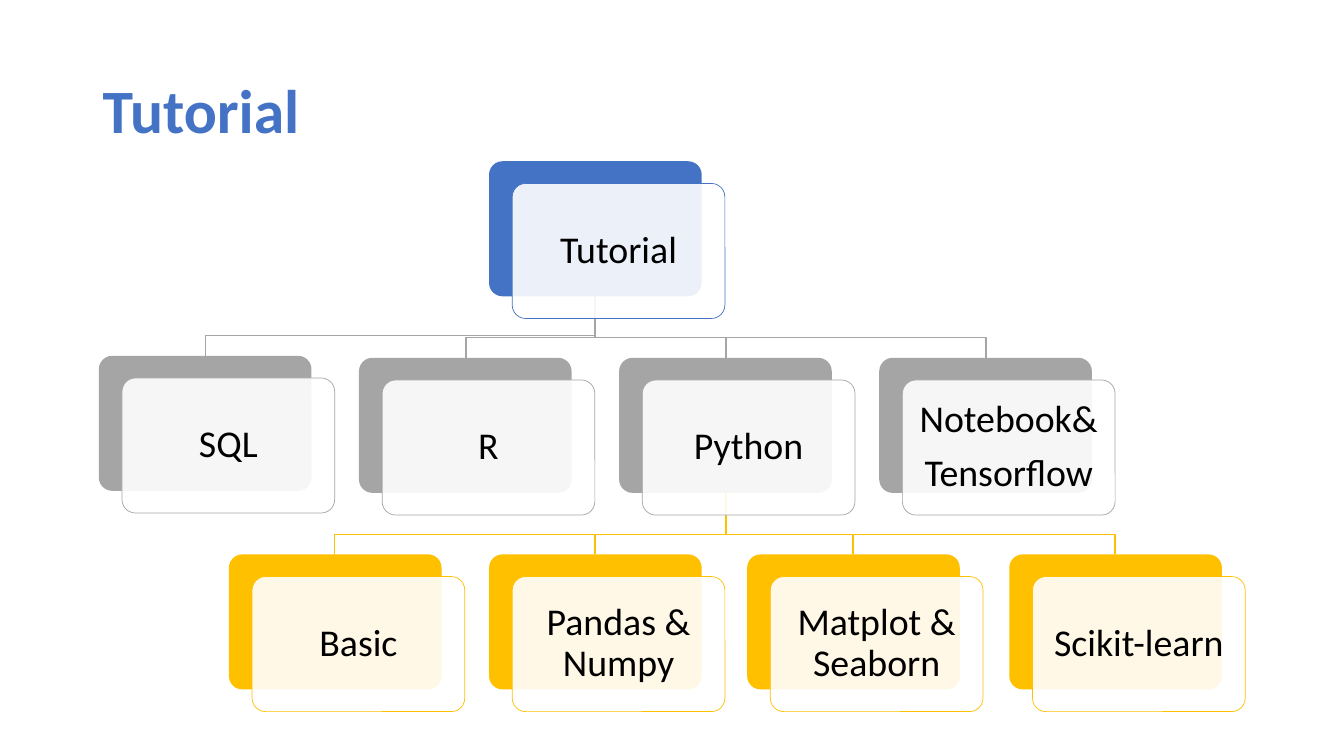
from dataclasses import dataclass

from lxml.etree import SubElement
from pptx import Presentation
from pptx.dml.color import RGBColor
from pptx.enum.shapes import MSO_SHAPE
from pptx.enum.text import MSO_ANCHOR, PP_ALIGN
from pptx.oxml.ns import qn
from pptx.util import Emu, Pt

PX = 9144  # EMU per px, 100 px to the inch
CARD_W, CARD_H = 211, 134
FRONT_DX, FRONT_DY = 23, 22
BRANCH_RISE = 20  # from the horizontal branch down to a child card
PITCH = 258


@dataclass(frozen=True)
class Theme:
    root: str = "4472C4"
    subject: str = "A5A5A5"
    topic: str = "FFC000"
    front: str = "FFFFFF"
    ink: str = "000000"
    font: str = "Calibri"
    title_size: int = 44
    label_size: int = 27


@dataclass(frozen=True)
class Node:
    label: str
    left: int
    top: int
    color: str

    @property
    def center(self):
        return self.left + CARD_W / 2


THEME = Theme()


def px(*lengths):
    return [Emu(round(length * PX)) for length in lengths]


def rgb(color):
    return RGBColor.from_string(color)


def write(frame, text, size, color, align, bold=False):
    frame.word_wrap = True
    frame.vertical_anchor = MSO_ANCHOR.MIDDLE
    frame.text = text
    for paragraph in frame.paragraphs:
        paragraph.alignment = align
        paragraph.line_spacing = 0.9
        font = paragraph.runs[0].font
        font.name, font.size, font.bold = THEME.font, Pt(size), bold
        font.color.rgb = rgb(color)


def add_title(slide, text):
    title = slide.shapes.add_textbox(*px(92, 40, 1150, 145))
    write(title.text_frame, text, THEME.title_size, THEME.root, PP_ALIGN.LEFT, bold=True)


def add_panel(slide, left, top, fill):
    panel = slide.shapes.add_shape(
        MSO_SHAPE.ROUNDED_RECTANGLE, *px(left, top, CARD_W, CARD_H))
    panel.adjustments[0] = 0.1
    panel.shadow.inherit = False
    panel.fill.solid()
    panel.fill.fore_color.rgb = rgb(fill)
    return panel


def add_card(slide, node):
    back = add_panel(slide, node.left, node.top, node.color)
    back.line.fill.background()

    front = add_panel(slide, node.left + FRONT_DX, node.top + FRONT_DY, THEME.front)
    front.line.color.rgb = rgb(node.color)
    front.line.width = Pt(0.5)
    front_color = front.fill._xPr.find(qn("a:solidFill"))[0]
    SubElement(front_color, qn("a:alpha"), val="90000")

    frame = front.text_frame
    frame.margin_left, frame.margin_top, frame.margin_right, frame.margin_bottom = px(*[11] * 4)
    write(frame, node.label, THEME.label_size, THEME.ink, PP_ALIGN.CENTER)
    for paragraph in frame.paragraphs[:-1]:
        paragraph.space_after = Pt(9.45)


def add_branch(slide, parent, child):
    start = parent.top + CARD_H
    bend = child.top - BRANCH_RISE
    outline = slide.shapes.build_freeform(parent.center, start, scale=PX)
    outline.add_line_segments(
        [(parent.center, bend), (child.center, bend), (child.center, child.top)],
        close=False)
    branch = outline.convert_to_shape()
    branch.shadow.inherit = False
    branch.fill.background()
    branch.line.color.rgb = rgb(child.color)
    branch.line.width = Pt(1)


def main():
    deck = Presentation()
    deck.slide_width, deck.slide_height = px(1333, 750)
    slide = deck.slides.add_slide(deck.slide_layouts[6])

    # Tree content; SQL and Matplot sit 2 px off the regular grid
    root = Node("Tutorial", 485, 160, THEME.root)
    subject_rows = [("SQL", 353), ("R", 355), ("Python", 355),
                    ("Notebook&\nTensorflow", 355)]
    subjects = [Node(label, 98 + PITCH * column, top, THEME.subject)
                for column, (label, top) in enumerate(subject_rows)]
    topic_rows = [("Basic", 0), ("Pandas & Numpy", 0),
                  ("Matplot & Seaborn", -2), ("Scikit-learn", 0)]
    topics = [Node(label, 227 + PITCH * column + nudge, 550, THEME.topic)
              for column, (label, nudge) in enumerate(topic_rows)]
    python = subjects[2]

    # Branches lie behind the cards
    for parent, children in ((root, subjects), (python, topics)):
        for child in children:
            add_branch(slide, parent, child)

    # Cards
    for node in [root, *subjects, *topics]:
        add_card(slide, node)

    add_title(slide, "Tutorial")
    deck.save("out.pptx")


if __name__ == "__main__":
    main()
